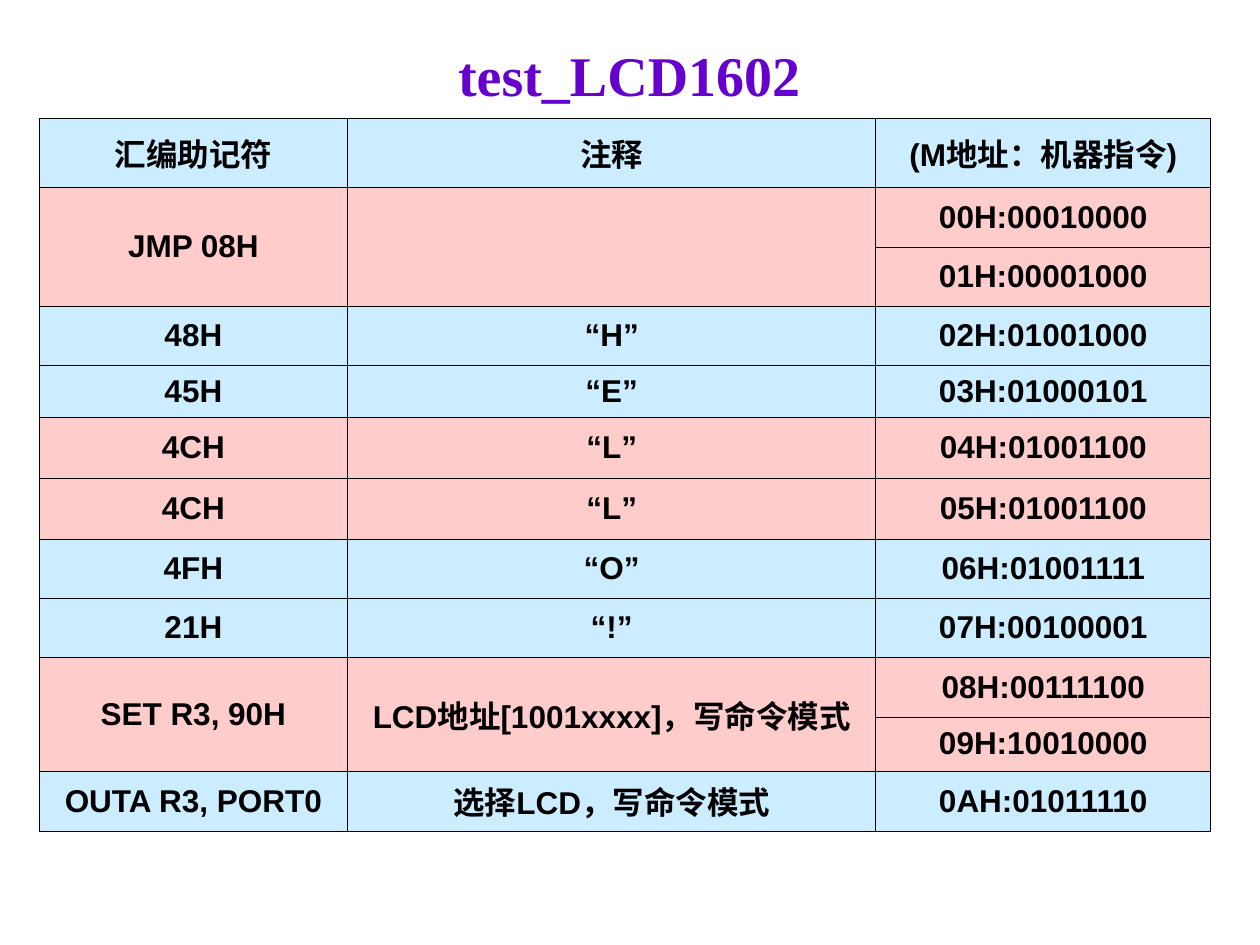
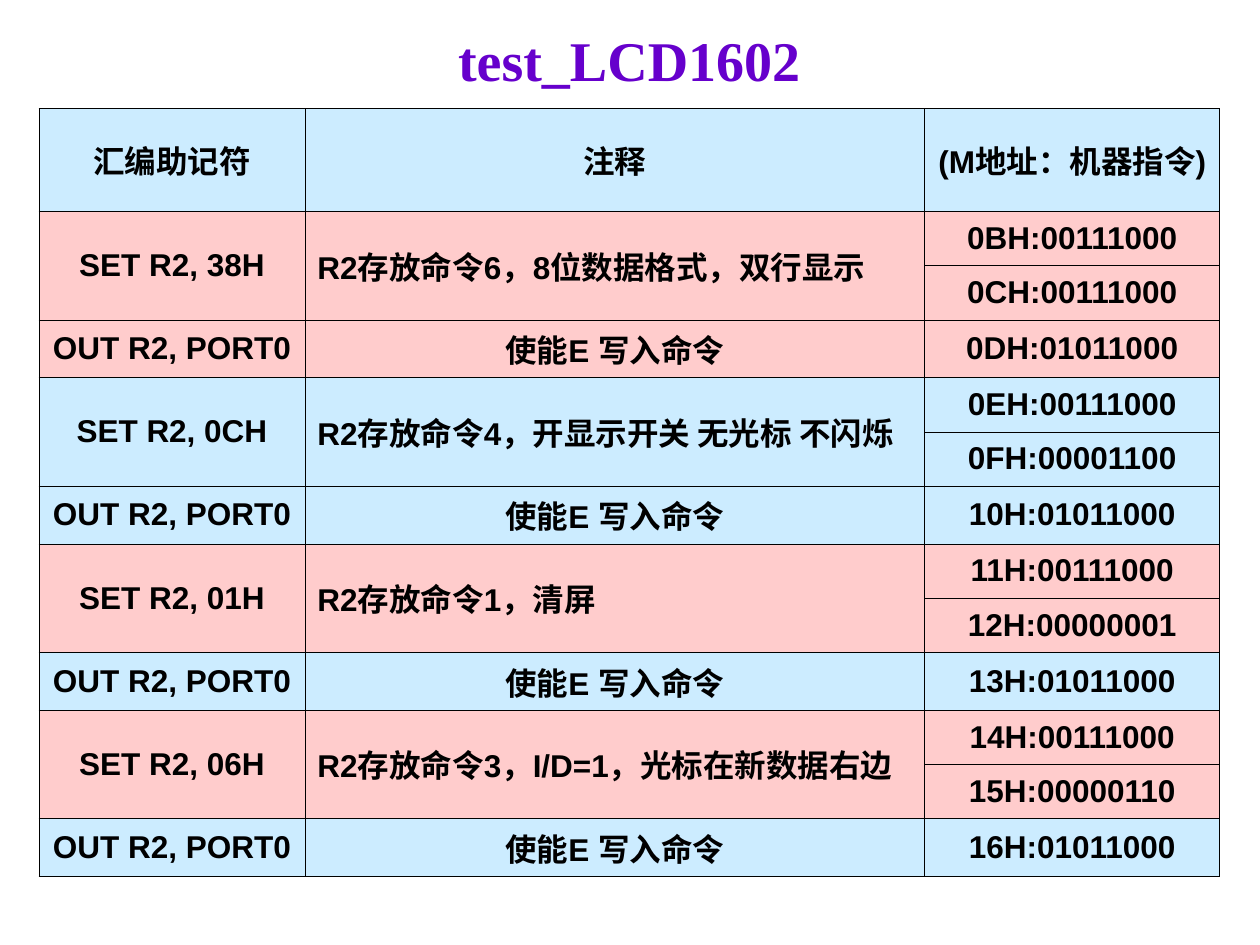
from dataclasses import dataclass

from pptx import Presentation
from pptx.dml.color import RGBColor
from pptx.enum.text import MSO_ANCHOR as Anchor, PP_ALIGN as Align
from pptx.oxml.ns import qn
from pptx.slide import Slide
from pptx.table import Table, _Cell as Cell
from pptx.text.text import TextFrame
from pptx.util import Inches, Pt
from lxml.etree import SubElement

WIDTH, HEIGHT = Inches(10), Inches(7.5)
COLORS = {"title": "6600CC", "ink": "000000", "blue": "CCECFF", "pink": "FFCCCC"}
HANGING = Inches(0.38)
LEFT = 3.1
TITLE = "test_LCD1602"
ENABLE = "使能E 写入命令"


@dataclass(frozen=True)
class Instruction:
    mnemonic: str
    note: str
    codes: tuple[str, ...]
    tint: str
    note_align: Align = Align.CENTER


@dataclass(frozen=True)
class Listing:
    title_top: float
    title_height: float
    table_top: float
    columns: tuple[float, ...]
    rows: tuple[float, ...]
    instructions: tuple[Instruction, ...]


HEADER = Instruction("汇编助记符", "注释", ("(M地址：机器指令)",), "blue")


def command(operand: str, note: str, codes: tuple[str, ...], tint: str) -> Instruction:
    return Instruction(f"SET R2, {operand}", note, codes, tint, Align.LEFT)


def output(code: str, tint: str = "blue") -> Instruction:
    return Instruction("OUT R2, PORT0", ENABLE, (code,), tint)


LISTINGS = (
    Listing(4.13, 7.33, 12.53, (24.5, 41.9, 26.6),
            (7.33, 6.27, 6.27, 6.27, 5.47, 6.53, 6.4, 6.27, 6.27, 6.27, 5.73, 6.4), (
        HEADER,
        Instruction("JMP 08H", "", ("00H:00010000", "01H:00001000"), "pink"),
        Instruction("48H", "“H”", ("02H:01001000",), "blue"),
        Instruction("45H", "“E”", ("03H:01000101",), "blue"),
        Instruction("4CH", "“L”", ("04H:01001100",), "pink"),
        Instruction("4CH", "“L”", ("05H:01001100",), "pink"),
        Instruction("4FH", "“O”", ("06H:01001111",), "blue"),
        Instruction("21H", "“!”", ("07H:00100001",), "blue"),
        Instruction("SET R3, 90H", "LCD地址[1001xxxx]，写命令模式",
                    ("08H:00111100", "09H:10010000"), "pink"),
        Instruction("OUTA R3, PORT0", "选择LCD，写命令模式", ("0AH:01011110",), "blue"),
    )),
    Listing(3.07, 6.27, 11.47, (21.1, 49.2, 23.4),
            (10.93,) + (5.73, 5.73, 6.13) * 4, (
        HEADER,
        command("38H", "R2存放命令6，8位数据格式，双行显示",
                ("0BH:00111000", "0CH:00111000"), "pink"),
        output("0DH:01011000", "pink"),
        command("0CH", "R2存放命令4，开显示开关 无光标 不闪烁",
                ("0EH:00111000", "0FH:00001100"), "blue"),
        output("10H:01011000"),
        command("01H", "R2存放命令1，清屏",
                ("11H:00111000", "12H:00000001"), "pink"),
        output("13H:01011000"),
        command("06H", "R2存放命令3，I/D=1，光标在新数据右边",
                ("14H:00111000", "15H:00000110"), "pink"),
        output("16H:01011000"),
    )),
)


def across(percent: float) -> int:
    return round(WIDTH * percent / 100)


def down(percent: float) -> int:
    return round(HEIGHT * percent / 100)


def write(frame: TextFrame, text: str, size: int, face: str, color: str,
          align: Align = Align.CENTER, hanging: int = 0) -> None:
    paragraph = frame.paragraphs[0]
    paragraph.alignment = align
    if hanging:
        properties = paragraph._p.get_or_add_pPr()
        properties.set("marL", str(hanging))
        properties.set("indent", str(-hanging))
    run = paragraph.add_run()
    run.text = text
    run.font.size, run.font.name, run.font.bold = Pt(size), face, True
    run.font.color.rgb = RGBColor.from_string(COLORS[color])


def outline_and_fill(cell: Cell, tint: str) -> None:
    properties = cell._tc.get_or_add_tcPr()
    for side in ("a:lnL", "a:lnR", "a:lnT", "a:lnB"):
        border = SubElement(properties, qn(side), w=str(Pt(0.45)))
        paint = SubElement(border, qn("a:solidFill"))
        SubElement(paint, qn("a:srgbClr"), val=COLORS["ink"])
    cell.fill.solid()
    cell.fill.fore_color.rgb = RGBColor.from_string(COLORS[tint])
    cell.vertical_anchor = Anchor.MIDDLE


def fill_instruction(table: Table, first: int, instruction: Instruction) -> None:
    last = first + len(instruction.codes) - 1
    for row in range(first, last + 1):
        for column in range(3):
            outline_and_fill(table.cell(row, column), instruction.tint)
    entries = [(first, 0, instruction.mnemonic, Align.CENTER),
               (first, 1, instruction.note, instruction.note_align)]
    entries += [(first + step, 2, code, Align.CENTER)
                for step, code in enumerate(instruction.codes)]
    if last > first:
        for column in range(2):
            table.cell(first, column).merge(table.cell(last, column))
    for row, column, text, align in entries:
        if text:
            write(table.cell(row, column).text_frame, text, 18, "Arial", "ink",
                  align, HANGING)


def draw_table(slide: Slide, listing: Listing) -> None:
    table = slide.shapes.add_table(
        len(listing.rows), len(listing.columns), across(LEFT), down(listing.table_top),
        across(sum(listing.columns)), down(sum(listing.rows))).table
    table.first_row = table.horz_banding = False
    for column, share in zip(table.columns, listing.columns):
        column.width = across(share)
    for row, share in zip(table.rows, listing.rows):
        row.height = down(share)
    first = 0
    for instruction in listing.instructions:
        fill_instruction(table, first, instruction)
        first += len(instruction.codes)


def draw_title(slide: Slide, listing: Listing) -> None:
    frame = slide.shapes.add_textbox(across(LEFT), down(listing.title_top), across(93.7),
                                     down(listing.title_height)).text_frame
    frame.word_wrap = True
    frame.vertical_anchor = Anchor.MIDDLE
    write(frame, TITLE, 32, "Times New Roman", "title")


def main() -> None:
    """Build the LCD1602 test program slides."""
    deck = Presentation()
    deck.slide_width, deck.slide_height = WIDTH, HEIGHT
    for listing in LISTINGS:
        slide = deck.slides.add_slide(deck.slide_layouts[6])
        draw_table(slide, listing)
        draw_title(slide, listing)
    deck.save("out.pptx")


if __name__ == "__main__":
    main()
